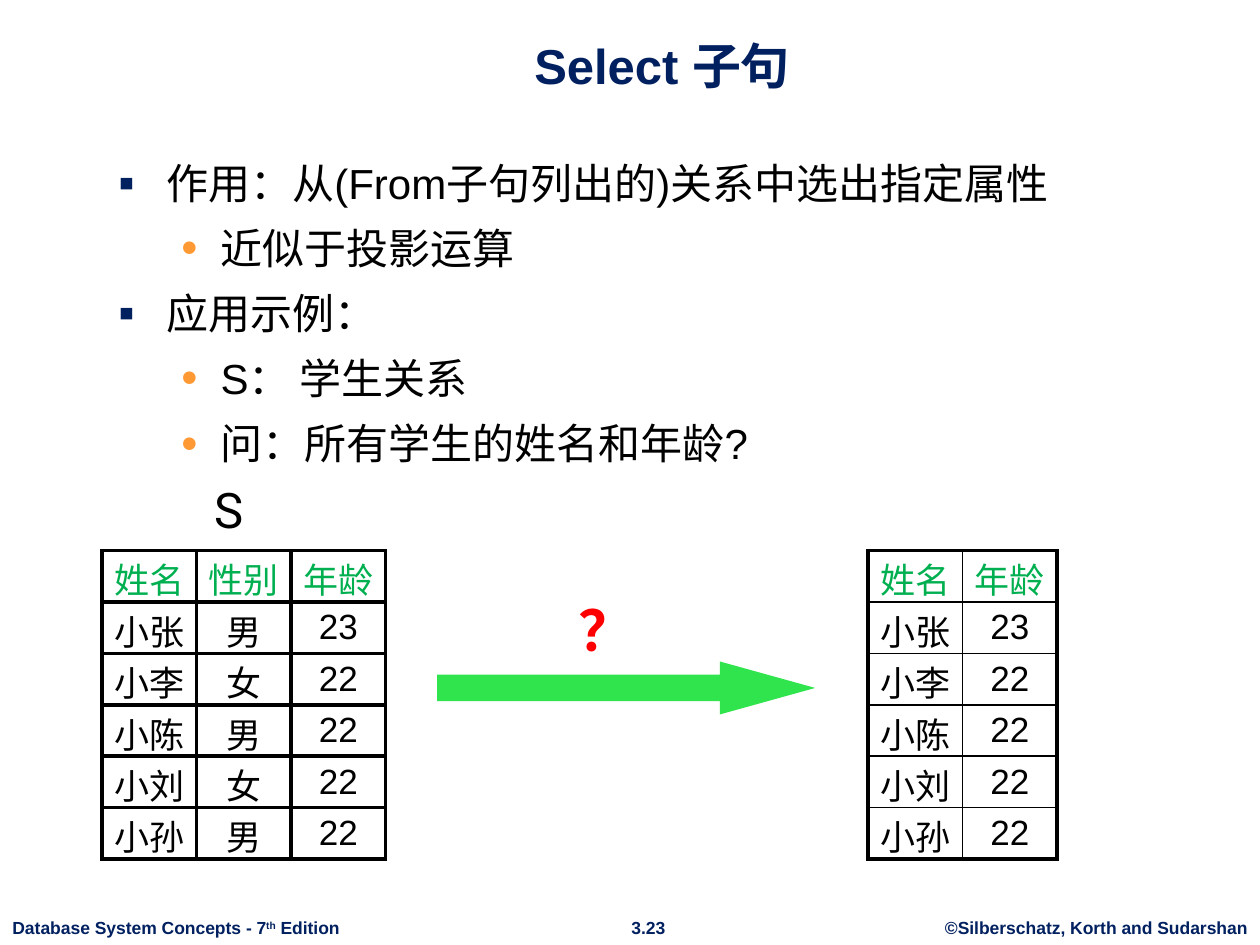
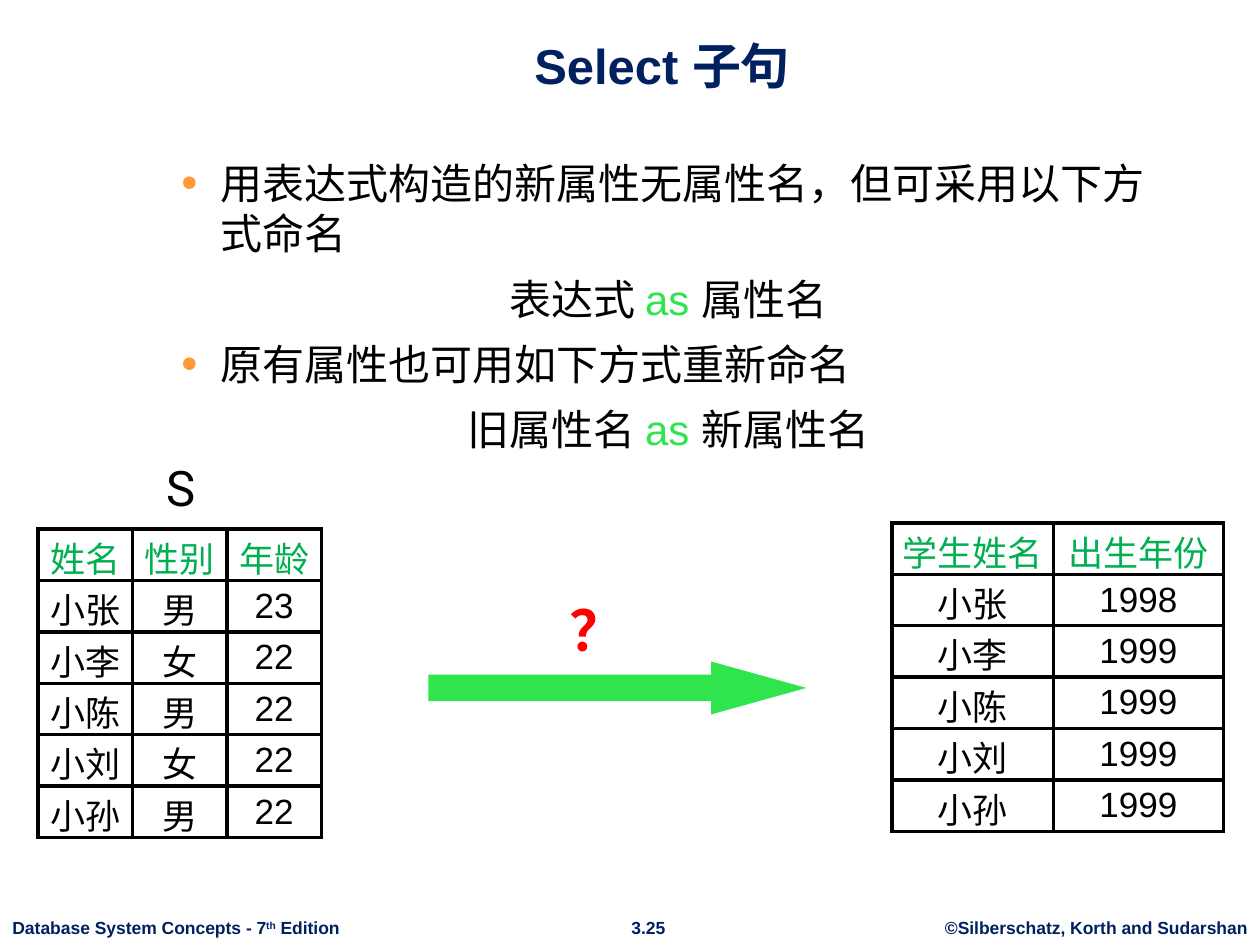
"""Two lecture slides on the SQL select clause."""
import dataclasses

import lxml.etree
import pptx
import pptx.dml.color
import pptx.enum.shapes
import pptx.enum.text
import pptx.oxml.ns
import pptx.util

ALIGN = pptx.enum.text.PP_ALIGN
ANCHOR = pptx.enum.text.MSO_ANCHOR


@dataclasses.dataclass(frozen=True)
class Theme:
    navy: str = "002060"
    black: str = "000000"
    white: str = "FFFFFF"
    orange: str = "FF9933"
    header_green: str = "00B050"
    bright_green: str = "30E44E"
    red: str = "FF0000"
    text_font: str = "Arial"
    label_font: str = "Roboto"
    title_size: int = 28
    body_size: int = 24
    table_size: int = 20
    label_size: int = 28
    question_size: int = 32
    footer_size: int = 10
    thick_line: float = 2.25
    thin_line: float = 1
    body_gap: float = 8.4


THEME = Theme()
COLUMNS, ROWS = 100, 75
LEVELS = [("▪", THEME.navy, 0.38, 0.38), ("•", THEME.orange, 0.81, 0.31)]


def add_element(parent, tag, **attributes):
    return lxml.etree.SubElement(parent, pptx.oxml.ns.qn(tag), **attributes)


def set_font(font, size, color, bold=False, name=THEME.text_font):
    font.name, font.size, font.bold = name, pptx.util.Pt(size), bold
    font.color.rgb = pptx.dml.color.RGBColor.from_string(color)


class Deck:
    def __init__(self):
        self.presentation = pptx.Presentation()
        self.presentation.slide_width = pptx.util.Inches(10)
        self.presentation.slide_height = pptx.util.Inches(7.5)
        self.slide = None

    def across(self, columns):
        return round(self.presentation.slide_width * columns / COLUMNS)

    def down(self, rows):
        return round(self.presentation.slide_height * rows / ROWS)

    def box(self, left, top, width, height):
        return self.across(left), self.down(top), self.across(width), self.down(height)

    def place(self, shape, *box):
        shape.left, shape.top, shape.width, shape.height = self.box(*box)

    def start_slide(self, title, number):
        self.slide = self.presentation.slides.add_slide(self.presentation.slide_layouts[1])
        self.title(title)
        self.footer(number)

    def title(self, text):
        shape = self.slide.shapes.title
        self.place(shape, 8.4, 1.3, 88.3, 6.7)
        frame = shape.text_frame
        frame.text = text
        frame.vertical_anchor = ANCHOR.BOTTOM
        frame.auto_size = pptx.enum.text.MSO_AUTO_SIZE.NONE
        frame.paragraphs[0].alignment = ALIGN.CENTER
        set_font(frame.paragraphs[0].font, THEME.title_size, THEME.navy, True)

    def footer(self, number):
        style = dict(size=THEME.footer_size, color=THEME.navy, bold=True)
        self.text("©Silberschatz, Korth and Sudarshan", (74, 72.3, 26, 2.7), **style)
        self.text(number, (49, 72.3, 4.9, 2.7), **style)
        course = self.text("Database System Concepts - 7", (0, 72.3, 28.1, 2.7),
                           align=ALIGN.LEFT, **style)
        ordinal = course.add_run()
        ordinal.text = "th"
        ordinal._r.get_or_add_rPr().set("baseline", "30000")
        course.add_run().text = " Edition"

    def text(self, text, box, align=ALIGN.CENTER, **style):
        frame = self.slide.shapes.add_textbox(*self.box(*box)).text_frame
        frame.word_wrap = False
        paragraph = frame.paragraphs[0]
        paragraph.add_run().text = text
        paragraph.alignment = align
        set_font(paragraph.font, **style)
        return paragraph

    def body(self, items):
        """Fill the body with (level, text) bullets or (None, (old, new)) naming patterns."""
        shape = self.slide.placeholders[1]
        self.place(shape, 8.4, 12, 84.3, 53.6)
        frame = shape.text_frame
        frame.auto_size = pptx.enum.text.MSO_AUTO_SIZE.NONE
        for index, (level, content) in enumerate(items):
            paragraph = frame.paragraphs[0] if index == 0 else frame.add_paragraph()
            paragraph.space_before = pptx.util.Pt(THEME.body_gap if index else 0)
            self.bullet(paragraph, level)
            set_font(paragraph.font, THEME.body_size, THEME.black)
            if level is None:
                before, after = content
                paragraph.alignment = ALIGN.CENTER
                paragraph.add_run().text = before + " "
                keyword = paragraph.add_run()
                keyword.text = "as "
                keyword.font.color.rgb = pptx.dml.color.RGBColor.from_string(THEME.bright_green)
                paragraph.add_run().text = after
            else:
                paragraph.add_run().text = content

    def bullet(self, paragraph, level):
        paragraph.level = 1 if level is None else level
        character, color, margin, hanging = LEVELS[paragraph.level]
        properties = paragraph._p.get_or_add_pPr()
        properties.set("marL", str(pptx.util.Inches(margin)))
        properties.set("indent", str(-pptx.util.Inches(hanging)))
        if level is None:
            add_element(properties, "a:buNone")
            return
        add_element(add_element(properties, "a:buClr"), "a:srgbClr", val=color)
        add_element(properties, "a:buSzPct", val="110000")
        add_element(properties, "a:buFont", typeface=THEME.text_font)
        add_element(properties, "a:buChar", char=character)

    def table(self, rows, left, top, widths, inner_line=THEME.thick_line, side_margin=0.0):
        row_height = 4.08
        table = self.slide.shapes.add_table(
            len(rows), len(widths),
            *self.box(left, top, sum(widths), row_height * len(rows))).table
        table.first_row = table.horz_banding = False
        for column, width in zip(table.columns, widths):
            column.width = self.across(width)
        for row_index, row in enumerate(rows):
            table.rows[row_index].height = self.down(row_height)
            for column_index, value in enumerate(row):
                cell = table.cell(row_index, column_index)
                outer_sides = {"a:lnL": column_index == 0,
                               "a:lnR": column_index == len(row) - 1,
                               "a:lnT": row_index == 0,
                               "a:lnB": row_index == len(rows) - 1}
                for side, is_outer in outer_sides.items():
                    self.border(cell, side, THEME.thick_line if is_outer else inner_line)
                self.cell(cell, value, row_index == 0, side_margin)

    def border(self, cell, side, width):
        line = add_element(cell._tc.get_or_add_tcPr(), side, w=str(pptx.util.Pt(width)))
        add_element(add_element(line, "a:solidFill"), "a:srgbClr", val=THEME.black)

    def cell(self, cell, value, is_header, side_margin):
        cell.margin_left = cell.margin_right = pptx.util.Inches(side_margin)
        cell.margin_top = cell.margin_bottom = pptx.util.Inches(0.02)
        cell.vertical_anchor = ANCHOR.MIDDLE
        if is_header:
            cell.fill.solid()
            cell.fill.fore_color.rgb = pptx.dml.color.RGBColor.from_string(THEME.white)
        else:
            cell.fill.background()
        cell.text = value
        paragraph = cell.text_frame.paragraphs[0]
        paragraph.alignment = ALIGN.CENTER
        set_font(paragraph.font, THEME.table_size,
                 THEME.header_green if is_header else THEME.black)

    def relation_name(self, left, top):
        self.text("S", (left, top, 4.2, 5.7), align=ALIGN.LEFT, size=THEME.label_size,
                  color=THEME.black, name=THEME.label_font)

    def query_arrow(self, left):
        arrow = self.slide.shapes.add_shape(
            pptx.enum.shapes.MSO_SHAPE.RIGHT_ARROW, *self.box(left, 52.5, 30, 4.2))
        arrow.adjustments[0], arrow.adjustments[1] = 0.5, 1.8
        arrow.shadow.inherit = False
        arrow.fill.solid()
        arrow.fill.fore_color.rgb = pptx.dml.color.RGBColor.from_string(THEME.bright_green)
        arrow.line.fill.background()
        question = self.text("？", (left + 10.2, 46, 6.5, 6.5), size=THEME.question_size,
                             color=THEME.red, bold=True, name=THEME.label_font)
        question.line_spacing = 1.15


STUDENTS = [("姓名", "性别", "年龄"), ("小张", "男", "23"), ("小李", "女", "22"),
            ("小陈", "男", "22"), ("小刘", "女", "22"), ("小孙", "男", "22")]
NAMES_AND_AGES = [(name, age) for name, _, age in STUDENTS]
BIRTH_YEARS = [("学生姓名", "出生年份")] + [
    (name, str(2021 - int(age))) for name, age in NAMES_AND_AGES[1:]]


def main():
    deck = Deck()

    deck.start_slide("Select 子句", "3.23")
    deck.body([(0, "作用：从(From子句列出的)关系中选出指定属性"),
               (1, "近似于投影运算"),
               (0, "应用示例："),
               (1, "S： 学生关系"),
               (1, "问：所有学生的姓名和年龄?")])
    deck.table(STUDENTS, 8.1, 43.7, [7.5] * 3, side_margin=0.04)
    deck.table(NAMES_AND_AGES, 68.9, 43.7, [7.5] * 2, THEME.thin_line, 0.04)
    deck.relation_name(16, 37.6)
    deck.query_arrow(34.7)

    deck.start_slide("Select 子句", "3.25")
    deck.body([(1, "用表达式构造的新属性无属性名，但可采用以下方式命名"),
               (None, ("表达式", "属性名")),
               (1, "原有属性也可用如下方式重新命名"),
               (None, ("旧属性名", "新属性名"))])
    deck.table(STUDENTS, 3, 42, [7.5] * 3)
    deck.table(BIRTH_YEARS, 70.8, 41.5, [12.8, 13.5])
    deck.relation_name(12.2, 35.8)
    deck.query_arrow(34)

    deck.presentation.save("out.pptx")


if __name__ == "__main__":
    main()
